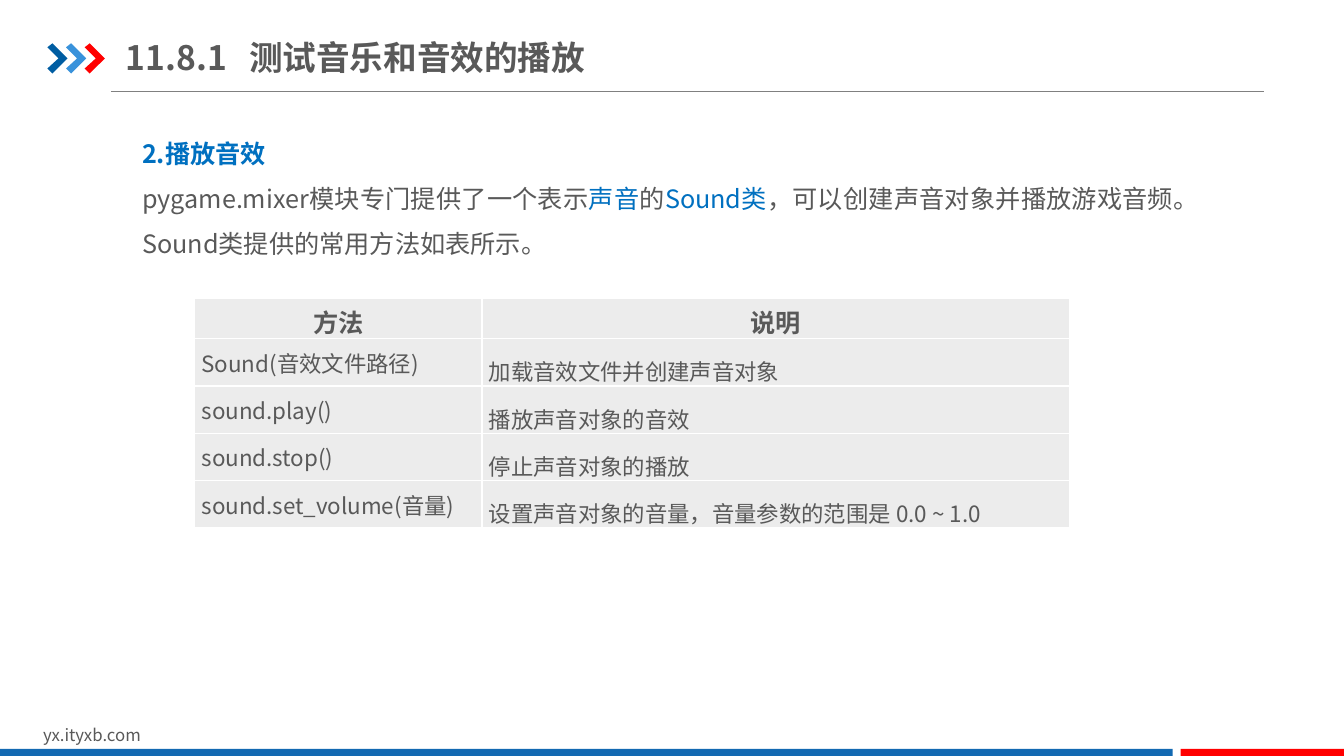
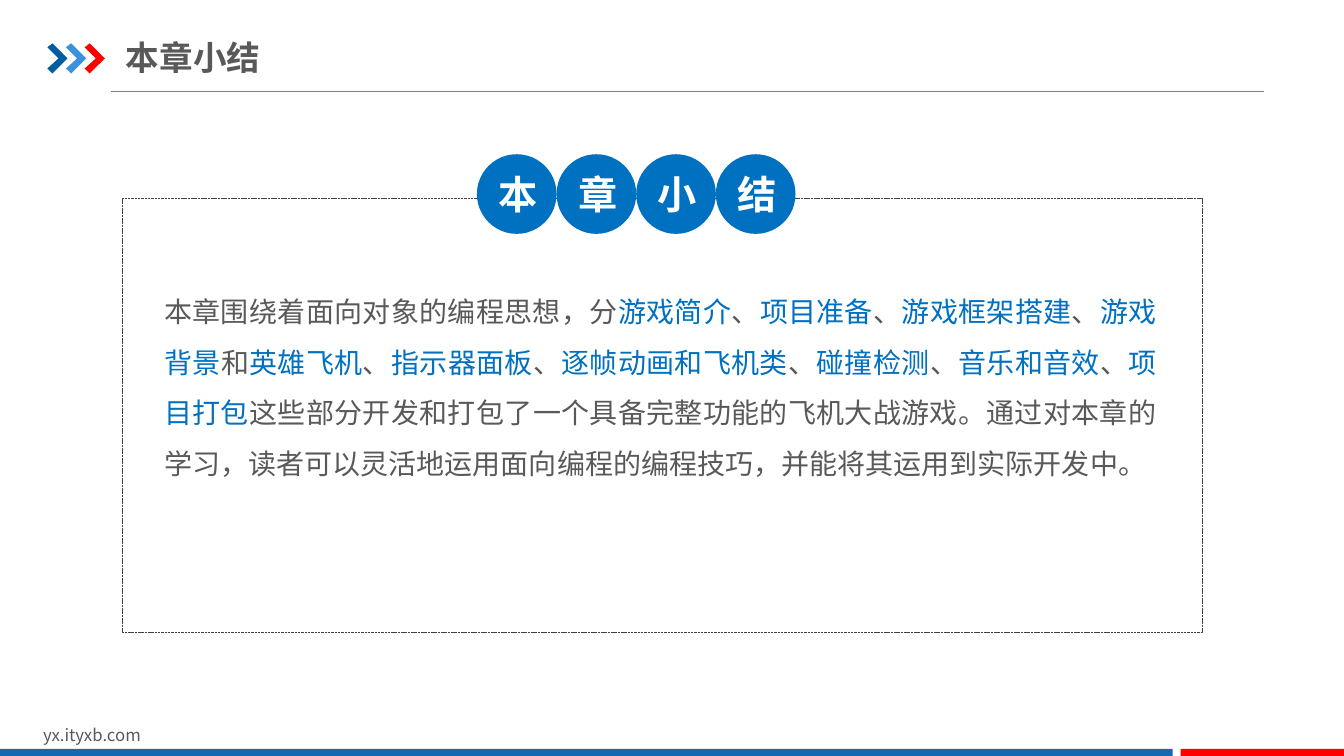
"""Build two course slides: the Sound class methods and the chapter summary."""
from lxml import etree
from pptx import Presentation
from pptx.dml.color import RGBColor
from pptx.enum.dml import MSO_LINE
from pptx.enum.shapes import MSO_CONNECTOR, MSO_SHAPE
from pptx.enum.text import MSO_ANCHOR, PP_ALIGN
from pptx.oxml.ns import qn
from pptx.util import Inches, Pt

FONT = "Noto Sans CJK SC"
GREY = RGBColor(0x59, 0x59, 0x59)
BLUE = RGBColor(0x00, 0x70, 0xC0)
NAVY = RGBColor(0x00, 0x5D, 0xA2)
SKY = RGBColor(0x39, 0x92, 0xDB)
RED = RGBColor(0xFF, 0x00, 0x00)
BAND_BLUE = RGBColor(0x13, 0x69, 0xB2)
RULE_GREY = RGBColor(0x80, 0x80, 0x80)
FRAME_GREY = RGBColor(0x40, 0x40, 0x40)
CELL_GREY = RGBColor(0xEC, 0xEC, 0xEC)
WHITE = RGBColor(0xFF, 0xFF, 0xFF)

FOOTER = "yx.ityxb.com"
CHEVRON_COLOURS = [NAVY, SKY, RED]
CHEVRON_POINTS = [(0, 0.04), (0.05, 0), (0.2, 0.15), (0.05, 0.3), (0, 0.25), (0.11, 0.15)]
BANDS = [(0, 11.63, BAND_BLUE), (11.71, 1.63, RED)]

SOUND_TITLE = "11.8.1\t测试音乐和音效的播放"
SOUND_HEADING = "2.播放音效"
SOUND_INTRO = (
    "pygame.mixer模块专门提供了一个表示|声音|的|Sound类|"
    "，可以创建声音对象并播放游戏音频。Sound类提供的常用方法如表所示。"
)
METHODS = [
    ("方法", "说明"),
    ("Sound(音效文件路径)", "加载音效文件并创建声音对象"),
    ("sound.play()", "播放声音对象的音效"),
    ("sound.stop()", "停止声音对象的播放"),
    ("sound.set_volume(音量)", "设置声音对象的音量，音量参数的范围是 0.0 ~ 1.0"),
]
COLUMN_WIDTHS = [2.85, 5.83]
HEADER_HEIGHT, ROW_HEIGHT = 0.38, 0.47

SUMMARY_TITLE = "本章小结"
SUMMARY = (
    "本章围绕着面向对象的编程思想，分|游戏简介|、|项目准备|、|游戏框架搭建|、|游戏背景|和|"
    "英雄飞机|、|指示器面板|、|逐帧动画和飞机类|、|碰撞检测|、|音乐和音效|、|项目打包|"
    "这些部分开发和打包了一个具备完整功能的飞机大战游戏。通过对本章的学习，"
    "读者可以灵活地运用面向编程的编程技巧，并能将其运用到实际开发中。"
)
BADGE_LEFT, BADGE_TOP, BADGE_SIZE = 4.73, 1.53, 0.79


def write(para, text, size, colour=GREY, bold=False, align=PP_ALIGN.LEFT, spacing=1.0):
    """Fill a paragraph; every second part between bars is set in blue."""
    para.alignment, para.line_spacing = align, spacing
    for index, part in enumerate(text.split("|")):
        span = para.add_run()
        span.text = part
        span.font.color.rgb = BLUE if index % 2 else colour
        for name, value in {"size": Pt(size), "bold": bold, "name": FONT}.items():
            setattr(span.font, name, value)
        latin = span.font._element.find(qn("a:latin"))
        latin.addnext(latin.makeelement(qn("a:ea"), {"typeface": FONT}))


def set_frame(frame, insets=None, **formats):
    """Apply text frame settings and optional left/right and top/bottom insets."""
    if insets:
        side, end = (Inches(value) for value in insets)
        formats.update(margin_left=side, margin_right=side, margin_top=end, margin_bottom=end)
    for name, value in formats.items():
        setattr(frame, name, value)


def add_box(page, left, top, width, height, insets=None, anchor=MSO_ANCHOR.TOP):
    """Add a wrapping text box and return its frame."""
    box = page.shapes.add_textbox(*map(Inches, (left, top, width, height)))
    set_frame(box.text_frame, insets, word_wrap=True, vertical_anchor=anchor)
    return box.text_frame


def paint(shape, colour):
    """Give a shape a flat fill without outline or shadow."""
    shape.shadow.inherit = False
    shape.fill.solid()
    shape.fill.fore_color.rgb = colour
    shape.line.fill.background()


def add_shape(page, kind, left, top, width, height, colour):
    """Add a flat preset shape."""
    shape = page.shapes.add_shape(kind, *map(Inches, (left, top, width, height)))
    paint(shape, colour)
    return shape


def add_page(deck, title):
    """Add a slide with the shared chevrons, rule, title, footer and bands."""
    page = deck.slides.add_slide(deck.slide_layouts[6])
    rule = page.shapes.add_connector(
        MSO_CONNECTOR.STRAIGHT, Inches(1.1), Inches(0.91), Inches(12.54), Inches(0.91))
    rule.line.color.rgb, rule.line.width = RULE_GREY, Pt(0.75)
    etree.SubElement(rule._element.spPr, qn("a:effectLst"))
    for index, colour in enumerate(CHEVRON_COLOURS):
        left = 0.47 + 0.185 * index
        points = [(Inches(left + x), Inches(0.43 + y)) for x, y in CHEVRON_POINTS]
        outline = page.shapes.build_freeform(*points[0])
        outline.add_line_segments(points[1:], close=True)
        paint(outline.convert_to_shape(), colour)
    write(add_box(page, 0.33, 7.14, 3.18, 0.3).paragraphs[0], FOOTER, 12)
    for left, width, colour in BANDS:
        add_shape(page, MSO_SHAPE.RECTANGLE, left, 7.43, width, 0.09, colour)
    para = add_box(page, 1.25, 0.29, 6.2, 0.55, (0, 0.07), MSO_ANCHOR.MIDDLE).paragraphs[0]
    if "\t" in title:
        stops = etree.SubElement(para._p.get_or_add_pPr(), qn("a:tabLst"))
        etree.SubElement(stops, qn("a:tab"), pos=str(Inches(1.22)), algn="l")
    write(para, title, 24, bold=True)
    return page


def add_borders(cell):
    """Draw white one-point borders round a cell."""
    properties = cell._tc.get_or_add_tcPr()
    for index, side in enumerate(("lnL", "lnR", "lnT", "lnB")):
        line = properties.makeelement(qn(f"a:{side}"), {"w": str(Pt(1))})
        fill = etree.SubElement(line, qn("a:solidFill"))
        etree.SubElement(fill, qn("a:srgbClr"), val=str(WHITE))
        properties.insert(index, line)


def add_methods(page):
    """Add the table of Sound methods."""
    heights = [HEADER_HEIGHT] + [ROW_HEIGHT] * (len(METHODS) - 1)
    size = (sum(COLUMN_WIDTHS), sum(heights))
    table = page.shapes.add_table(
        len(METHODS), len(COLUMN_WIDTHS), Inches(1.93), Inches(2.96), *map(Inches, size)).table
    table.horz_banding = False
    for column, width in zip(table.columns, COLUMN_WIDTHS):
        column.width = Inches(width)
    for row, height, texts in zip(table.rows, heights, METHODS):
        row.height = Inches(height)
        header = texts is METHODS[0]
        for index, (cell, text) in enumerate(zip(row.cells, texts)):
            set_frame(cell, None if header else (0.07, 0), vertical_anchor=MSO_ANCHOR.MIDDLE)
            cell.fill.solid()
            cell.fill.fore_color.rgb = CELL_GREY
            add_borders(cell)
            para = cell.text_frame.paragraphs[0]
            if header:
                write(para, text, 18, bold=True, align=PP_ALIGN.CENTER)
            else:
                write(para, text, 16, spacing=1.5 if index else 1.0)


def add_sound_page(deck):
    """Add the slide on playing sound effects."""
    page = add_page(deck, SOUND_TITLE)
    frame = add_box(page, 1.28, 1.15, 10.74, 1.5, (0.13, 0.07))
    body = {"size": 18, "align": PP_ALIGN.JUSTIFY, "spacing": 1.5}
    write(frame.paragraphs[0], SOUND_HEADING, colour=BLUE, bold=True, **body)
    write(frame.add_paragraph(), SOUND_INTRO, **body)
    add_methods(page)


def add_summary_page(deck):
    """Add the chapter summary slide."""
    page = add_page(deck, SUMMARY_TITLE)
    border = add_shape(page, MSO_SHAPE.ROUNDED_RECTANGLE, 1.21, 1.97, 10.71, 4.3, WHITE)
    border.adjustments[0] = 0
    border.fill.background()
    border.line.color.rgb = FRAME_GREY
    for name, value in {"width": Pt(0.25), "dash_style": MSO_LINE.SQUARE_DOT}.items():
        setattr(border.line, name, value)
    frame = add_box(page, 1.63, 2.76, 9.84, 1.96, (0, 0))
    write(frame.paragraphs[0], SUMMARY, 20, align=PP_ALIGN.JUSTIFY, spacing=1.5)
    for index, character in enumerate(SUMMARY_TITLE):
        left = BADGE_LEFT + BADGE_SIZE * index
        badge = add_shape(page, MSO_SHAPE.OVAL, left, BADGE_TOP, BADGE_SIZE, BADGE_SIZE, BLUE)
        set_frame(badge.text_frame, vertical_anchor=MSO_ANCHOR.MIDDLE)
        write(badge.text_frame.paragraphs[0], character, 28, WHITE, True, PP_ALIGN.CENTER)


def main():
    """Build and save the deck."""
    deck = Presentation()
    deck.slide_width, deck.slide_height = Inches(13.33), Inches(7.5)
    add_sound_page(deck)
    add_summary_page(deck)
    deck.save("out.pptx")


if __name__ == "__main__":
    main()
